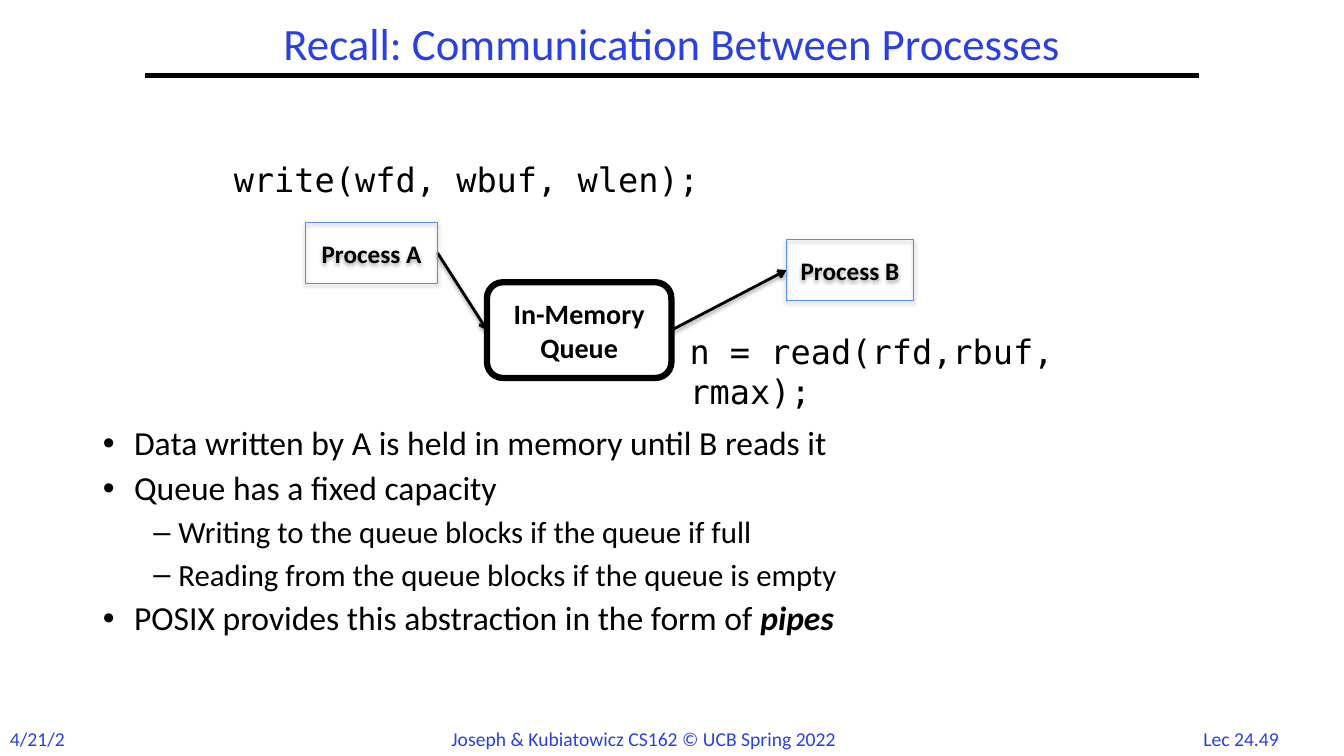
import pptx
import pptx.util
import pptx.dml.color
import pptx.enum.shapes
import pptx.enum.text
import pptx.oxml
import pptx.oxml.ns

Inches, Pt = pptx.util.Inches, pptx.util.Pt
SHAPE = pptx.enum.shapes.MSO_SHAPE
LINK = pptx.enum.shapes.MSO_CONNECTOR
ALIGN = pptx.enum.text.PP_ALIGN
MIDDLE = pptx.enum.text.MSO_ANCHOR.MIDDLE
NO_FIT = pptx.enum.text.MSO_AUTO_SIZE.NONE
BLUE, BLACK, WHITE, EDGE = "2A40E2", "000000", "FFFFFF", "5B8AFB"
SANS, MONO = "Calibri", "DejaVu Sans Mono"
TOP, LEFT, RIGHT = 0, 1, 3


def hue(code):
    return pptx.dml.color.RGBColor.from_string(code)


def apply(item, looks):
    for name, value in looks.items():
        setattr(item, name, value)


def write(para, text, size, color=BLACK, face=SANS, **looks):
    run = para.add_run()
    run.text = text
    apply(run.font, {"size": Pt(size), "name": face, **looks})
    run.font.color.rgb = hue(color)


def place(shape, box):
    names = ("left", "top", "width", "height")
    apply(shape, dict(zip(names, map(Inches, box))))


def label(slide, box, text, size, color=BLACK, face=SANS, wrap=True, align=ALIGN.LEFT):
    frame = slide.shapes.add_textbox(*map(Inches, box)).text_frame
    frame.word_wrap = wrap
    para = frame.paragraphs[0]
    para.alignment = align
    write(para, text, size, color, face)


def shade(holder, alpha, blur, drop):
    """Put a soft shadow straight below a shape or connector."""
    space = pptx.oxml.ns.nsdecls("a")
    holder.append(pptx.oxml.parse_xml(
        f'<a:effectLst {space}><a:outerShdw blurRad="{Pt(blur)}" dist="{Pt(drop)}" '
        f'dir="5400000" rotWithShape="0"><a:srgbClr val="{BLACK}">'
        f'<a:alpha val="{alpha * 1000}"/></a:srgbClr></a:outerShdw></a:effectLst>'))


def rule(slide, start, end, width):
    line = slide.shapes.add_connector(LINK.STRAIGHT, *map(Inches, start + end))
    line.line.width = Pt(width)
    line.line.color.rgb = hue(BLACK)
    return line


def arrow(slide):
    line = rule(slide, (0, 0), (1, 1), 2)
    space = pptx.oxml.ns.nsdecls("a")
    line.line._get_or_add_ln().append(
        pptx.oxml.parse_xml(f'<a:tailEnd {space} type="arrow"/>'))
    shade(line._element.spPr, 38, 3.1, 1.6)
    return line


def block(slide, kind, box, text, size, edge, width, fill=None):
    shape = slide.shapes.add_shape(kind, *map(Inches, box))
    shape.line.color.rgb = hue(edge)
    shape.line.width = Pt(width)
    if fill:
        shape.fill.solid()
        shape.fill.fore_color.rgb = hue(fill)
        shape.shadow.inherit = False
    else:
        shape.fill.background()
        shade(shape._element.spPr, 35, 3.1, 1.8)
    frame = shape.text_frame
    apply(frame, {"word_wrap": True, "vertical_anchor": MIDDLE})
    para = frame.paragraphs[0]
    para.alignment = ALIGN.CENTER
    write(para, text, size, bold=True)
    return shape


def header(slide, box):
    title = slide.shapes.title
    place(title, box)
    apply(title.text_frame, {"auto_size": NO_FIT, "vertical_anchor": MIDDLE})
    para = title.text_frame.paragraphs[0]
    apply(para, {"alignment": ALIGN.CENTER, "line_spacing": 0.9})
    write(para, "Recall: Communication Between Processes", 32, BLUE)
    left, top, width, height = box
    base = top + height
    line = rule(slide, (left, base), (left + width, base), 3)
    line._element.spPr.append(pptx.oxml.parse_xml(
        f'<a:effectLst {pptx.oxml.ns.nsdecls("a")}/>'))


def diagram(slide, box):
    left, top = box[:2]
    # Calls
    label(slide, (left, top, 5.11, 0.5), "write(wfd, wbuf, wlen);", 24, face=MONO)
    label(slide, (left + 4.52, top + 1.7, 5.05, 0.5),
          "n = read(rfd,rbuf, rmax);", 24, face=MONO)
    # Arrows lie behind the boxes they join
    enter, leave = arrow(slide), arrow(slide)
    first = block(slide, SHAPE.RECTANGLE, (left + 0.81, top + 0.68, 1.31, 0.6),
                  "Process A", 18, EDGE, 0.75)
    second = block(slide, SHAPE.RECTANGLE, (left + 5.58, top + 0.85, 1.26, 0.6),
                   "Process B", 18, EDGE, 0.75)
    queue = block(slide, SHAPE.ROUNDED_RECTANGLE, (left + 2.61, top + 1.27, 1.83, 0.95),
                  "In-Memory Queue", 20, BLACK, 4.5, WHITE)
    for line, start, end in ((enter, first, queue), (leave, queue, second)):
        line.begin_connect(start, RIGHT)
        line.end_connect(end, LEFT)


def bullets(slide, box):
    body = slide.placeholders[1]
    place(body, box)
    frame = body.text_frame
    frame.auto_size = NO_FIT
    items = (
        (0, "Data written by A is held in memory until B reads it"),
        (0, "Queue has a fixed capacity"),
        (1, "Writing to the queue blocks if the queue if full"),
        (1, "Reading from the queue blocks if the queue is empty"),
        (0, "POSIX provides this abstraction in the form of "),
    )
    sizes, margins, hangs = (24, 22), (0.31, 0.75), (0.31, 0.25)
    for index, (level, text) in enumerate(items):
        para = frame.add_paragraph() if index else frame.paragraphs[0]
        apply(para, {"level": level, "line_spacing": 0.9,
                     "space_before": Pt(6.5 if index else 0)})
        props = para._p.get_or_add_pPr()
        props.set("marL", str(Inches(margins[level])))
        props.set("indent", str(-Inches(hangs[level])))
        write(para, text, sizes[level])
    write(para, "pipes", 24, bold=True, italic=True)


def footer(slide, top):
    for left, width, text, align in (
        (0, 0.8, "4/21/22", ALIGN.LEFT),
        (4.38, 4.13, "Joseph & Kubiatowicz CS162 © UCB Spring 2022", ALIGN.LEFT),
        (11.77, 1.08, "Lec 24.49", ALIGN.CENTER),
    ):
        label(slide, (left, top, width, 0.34), text, 14, BLUE, wrap=False, align=align)


def main():
    deck = pptx.Presentation()
    apply(deck, {"slide_width": Inches(13.33), "slide_height": Inches(7.5)})
    slide = deck.slides.add_slide(deck.slide_layouts[1])
    footer(slide, 7.16)
    header(slide, (1.44, 0.17, 10.45, 0.58))
    bullets(slide, (0.92, 4.18, 11.5, 2.57))
    diagram(slide, (2.22, 1.53, 9.57, 2.22))
    deck.save("out.pptx")


if __name__ == "__main__":
    main()
